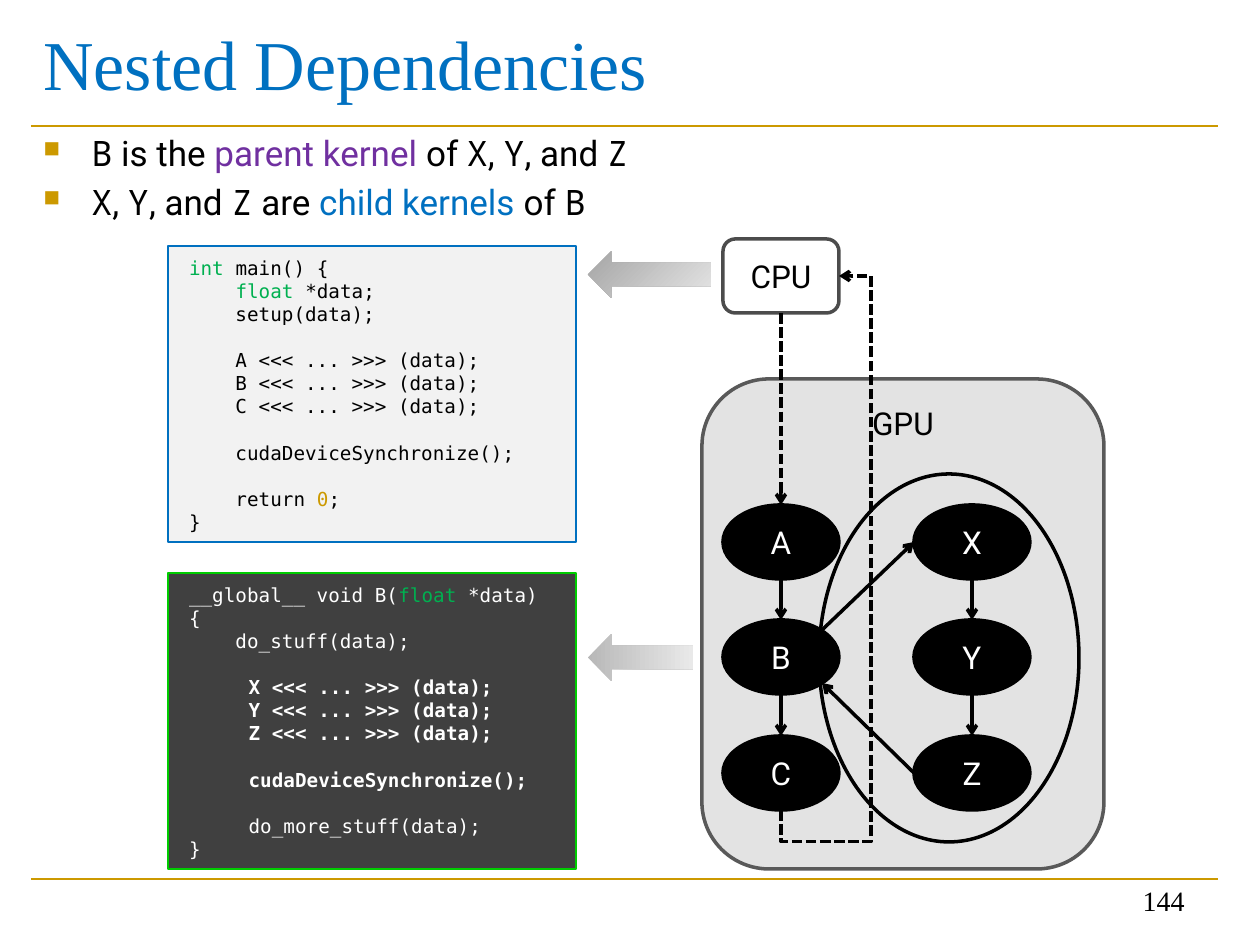
from lxml import etree
from pptx import Presentation
from pptx import util as u
from pptx.dml.color import RGBColor
from pptx.enum import dml, shapes, text
from pptx.oxml.ns import qn
from pptx.text.text import Font

SCALE = 914400 / 126
BLACK = RGBColor(0x00, 0x00, 0x00)
WHITE = RGBColor(0xFF, 0xFF, 0xFF)
BLUE = RGBColor(0x00, 0x70, 0xC0)
PURPLE = RGBColor(0x70, 0x30, 0xA0)
GREEN = RGBColor(0x00, 0xB0, 0x50)
BRIGHT_GREEN = RGBColor(0x00, 0xCC, 0x00)
GOLD = RGBColor(0xCC, 0x99, 0x00)
DARK = RGBColor(0x40, 0x40, 0x40)
PALE = RGBColor(0xF2, 0xF2, 0xF2)
GPU_FILL = RGBColor(0x47, 0x47, 0x47)
GPU_LINE = RGBColor(0x59, 0x59, 0x59)
SANS, MONO, CODE, SERIF = "Roboto", "Noto Sans Mono", "DejaVu Sans Mono", "Times New Roman"
SHAPE = shapes.MSO_SHAPE
LINE = shapes.MSO_CONNECTOR

HOST_CODE = """int main() {
    float *data;
    setup(data);

    A <<< ... >>> (data);
    B <<< ... >>> (data);
    C <<< ... >>> (data);

    cudaDeviceSynchronize();

    return 0;
}"""
KERNEL_CODE = """__global__ void B(float *data)
{
    do_stuff(data);

 X <<< ... >>> (data);
 Y <<< ... >>> (data);
 Z <<< ... >>> (data);

 cudaDeviceSynchronize();

 do_more_stuff(data);
}"""
TOKENS = {"int ": GREEN, "float": GREEN, "0": GOLD}


def px(*lengths):
    return [u.Emu(round(length * SCALE)) for length in lengths]


def style(font, name, size, color, bold=False):
    font.name, font.size, font.bold = name, u.Pt(size), bold
    font.color.rgb = color


def set_alpha(color_parent, percent):
    color = color_parent.find(".//" + qn("a:srgbClr"))
    etree.SubElement(color, qn("a:alpha"), val=str(percent * 1000))


def add_label(slide, box, label, name, size, color, align, anchor):
    frame = slide.shapes.add_textbox(*px(*box)).text_frame
    frame.word_wrap = True
    frame.vertical_anchor = anchor
    frame.text = label
    frame.paragraphs[0].alignment = align
    style(frame.paragraphs[0].runs[0].font, name, size, color)


def add_box(slide, kind, box, fill, line, width=2, label="", color=BLACK):
    shape = slide.shapes.add_shape(kind, *px(*box))
    shape.shadow.inherit = False
    if fill is None:
        shape.fill.background()
    else:
        shape.fill.solid()
        shape.fill.fore_color.rgb = fill
    shape.line.color.rgb = line
    shape.line.width = u.Pt(width)
    frame = shape.text_frame
    frame.margin_left, frame.margin_top, frame.margin_right, frame.margin_bottom = px(10, 5, 10, 5)
    if label:
        frame.text = label
        frame.paragraphs[0].alignment = text.PP_ALIGN.CENTER
        style(frame.paragraphs[0].runs[0].font, SANS, 18, color)
    return shape


def add_line(slide, ends, color=BLACK, width=2, dashed=False, arrow=True, kind=LINE.STRAIGHT):
    connector = slide.shapes.add_connector(kind, *px(*ends))
    connector.line.color.rgb = color
    connector.line.width = u.Pt(width)
    if dashed:
        connector.line.dash_style = dml.MSO_LINE.SQUARE_DOT
    if arrow:
        etree.SubElement(connector.line._get_or_add_ln(), qn("a:tailEnd"), type="arrow")
    etree.SubElement(connector._element.spPr, qn("a:effectLst"))
    return connector


def add_frame(slide, left, right, top, bottom):
    for y in (top, bottom):
        add_line(slide, (left, y, right, y), GOLD, 1.5, arrow=False)
    add_label(slide, (left, 0, right - left, 125), "Nested Dependencies", SERIF, 40, BLUE,
              text.PP_ALIGN.LEFT, text.MSO_ANCHOR.MIDDLE)
    add_label(slide, (right - 315, bottom - 19, 294, 63), "144", SERIF, 16, BLACK,
              text.PP_ALIGN.RIGHT, text.MSO_ANCHOR.BOTTOM)


def add_bullets(slide, box):
    frame = slide.shapes.add_textbox(*px(*box)).text_frame
    frame.word_wrap = True
    bullets = (
        (("B", MONO, BLACK), (" is the ", SANS, BLACK), ("parent kernel ", SANS, PURPLE),
         ("of ", SANS, BLACK), ("X", MONO, BLACK), (", ", SANS, BLACK), ("Y", MONO, BLACK),
         (", and ", SANS, BLACK), ("Z", MONO, BLACK)),
        (("X", MONO, BLACK), (", ", SANS, BLACK), ("Y", MONO, BLACK), (", and ", SANS, BLACK),
         ("Z", MONO, BLACK), (" are ", SANS, BLACK), ("child kernels ", SANS, BLUE),
         ("of ", SANS, BLACK), ("B", MONO, BLACK)),
    )
    indent = px(48)[0]
    for index, parts in enumerate(bullets):
        paragraph = frame.add_paragraph() if index else frame.paragraphs[0]
        if index:
            paragraph.space_before = u.Pt(4)
        properties = paragraph._p.get_or_add_pPr()
        properties.set("marL", str(indent))
        properties.set("indent", str(-indent))
        color = etree.SubElement(properties, qn("a:buClr"))
        etree.SubElement(color, qn("a:srgbClr"), val=str(GOLD))
        etree.SubElement(properties, qn("a:buSzPct"), val="65000")
        etree.SubElement(properties, qn("a:buChar"), char="■")
        for words, name, tint in parts:
            run = paragraph.add_run()
            run.text = words
            style(run.font, name, 20, tint)


def split_tokens(line, color):
    for token, tint in TOKENS.items():
        if token in line:
            before, _, after = line.partition(token)
            return [(before, color), (token, tint), (after, color)]
    return [(line, color)]


def add_code(slide, box, code, fill, line_color, color, indented=(), bold=()):
    frame = add_box(slide, SHAPE.RECTANGLE, box, fill, line_color, 1).text_frame
    frame.margin_left, frame.margin_top = px(21, 10)
    frame.vertical_anchor = text.MSO_ANCHOR.TOP
    for row, line in enumerate(code.split("\n")):
        paragraph = frame.add_paragraph() if row else frame.paragraphs[0]
        paragraph.alignment = text.PP_ALIGN.LEFT
        if row in indented:
            paragraph._p.get_or_add_pPr().set("indent", str(px(48)[0]))
        for words, tint in split_tokens(line, color):
            if words:
                run = paragraph.add_run()
                run.text = words
                style(run.font, CODE, 11, tint, row in bold)
        if not line:
            style(Font(paragraph._p.get_or_add_endParaRPr()), CODE, 11, color)


def add_block_arrow(slide, box, start, end, angle):
    shape = slide.shapes.add_shape(SHAPE.LEFT_ARROW, *px(*box))
    shape.shadow.inherit = False
    shape.line.fill.background()
    shape.fill.gradient()
    shape.fill.gradient_angle = angle
    for stop, shade in zip(shape.fill.gradient_stops, (start, end)):
        stop.color.rgb = RGBColor(shade, shade, shade)


def add_gpu(slide, left, top, width, height):
    gpu = add_box(slide, SHAPE.ROUNDED_RECTANGLE, (left, top, width, height),
                  GPU_FILL, GPU_LINE, label="GPU")
    gpu.text_frame.vertical_anchor = text.MSO_ANCHOR.TOP
    set_alpha(gpu._element.spPr.find(qn("a:solidFill")), 15)
    add_box(slide, SHAPE.OVAL, (left + 117, top + 95, 260, 368), None, BLACK)
    node_width, node_height = 116, 74
    rows = [top + 126 + 231 * row // 2 for row in range(3)]
    for column, names in ((left + 21, "ABC"), (left + 212, "XYZ")):
        for y, name in zip(rows, names):
            node = add_box(slide, SHAPE.OVAL, (column, y, node_width, node_height),
                           BLACK, BLACK, label=name, color=WHITE)
            node.text_frame.vertical_anchor = text.MSO_ANCHOR.MIDDLE
        middle = column + node_width // 2
        for above, below in zip(rows, rows[1:]):
            add_line(slide, (middle, above + node_height, middle, below))
    add_line(slide, (left + 120, rows[1] + 10, left + 212, rows[0] + 37))
    add_line(slide, (left + 212, rows[2] + 37, left + 120, rows[1] + 63))


def add_cpu(slide, left, top, width, height):
    cpu = add_box(slide, SHAPE.ROUNDED_RECTANGLE, (left, top, width, height),
                  WHITE, BLACK, label="CPU")
    cpu.text_frame.vertical_anchor = text.MSO_ANCHOR.MIDDLE
    set_alpha(cpu.line._get_or_add_ln(), 70)
    middle = left + width // 2
    add_line(slide, (middle, top + height, middle, top + 266), dashed=True)
    back = add_line(slide, (left + 354, top + 333, left - 180, top + 275),
                    dashed=True, kind=LINE.ELBOW)
    properties = back._element.spPr
    properties.find(qn("a:xfrm")).set("rot", "5400000")
    geometry = properties.find(qn("a:prstGeom"))
    geometry.set("prst", "bentConnector4")
    guides = geometry.find(qn("a:avLst"))
    for name, value in (("adj1", -5900), ("adj2", 155000)):
        etree.SubElement(guides, qn("a:gd"), name=name, fmla=f"val {value}")


def main():
    presentation = Presentation()
    presentation.slide_width, presentation.slide_height = px(1260, 945)
    slide = presentation.slides.add_slide(presentation.slide_layouts[6])
    add_frame(slide, 31, 1218, 126, 879)
    add_bullets(slide, (31, 125, 1187, 110))
    add_gpu(slide, 702, 379, 402, 490)
    add_code(slide, (168, 246, 408, 296), HOST_CODE, PALE, BLUE, BLACK)
    add_code(slide, (168, 573, 408, 296), KERNEL_CODE, DARK, BRIGHT_GREEN, WHITE,
             indented=range(4, 11), bold=range(4, 9))
    add_cpu(slide, 723, 239, 116, 74)
    add_block_arrow(slide, (588, 251, 123, 47), 0xA5, 0xE4, 315)
    add_block_arrow(slide, (588, 634, 105, 47), 0xB8, 0xE9, 0)
    presentation.save("out.pptx")


if __name__ == "__main__":
    main()
